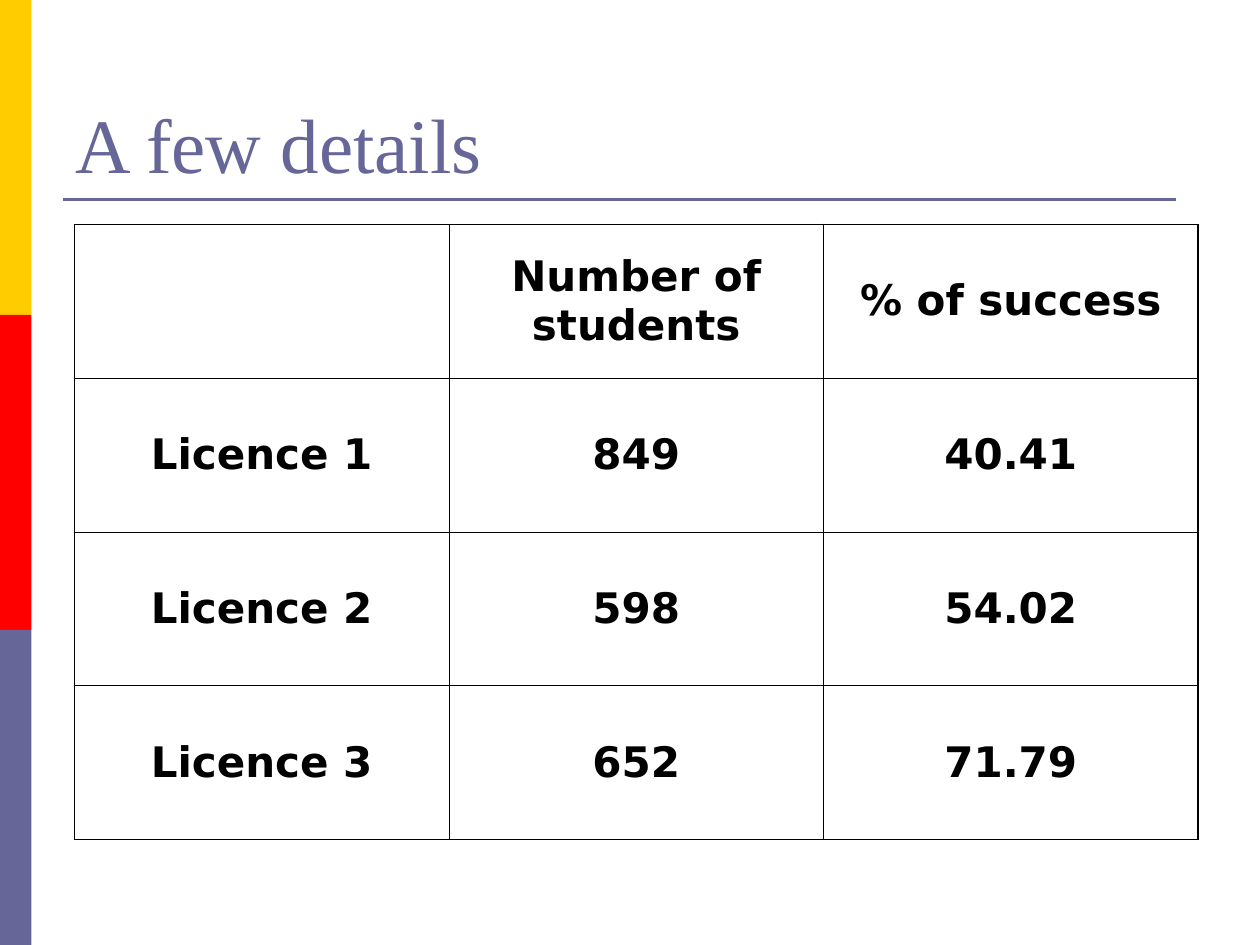
from dataclasses import dataclass

from lxml import etree
from pptx import Presentation
from pptx.dml.color import RGBColor
from pptx.enum.shapes import MSO_CONNECTOR, MSO_SHAPE
from pptx.enum.text import MSO_ANCHOR, PP_ALIGN
from pptx.oxml.ns import qn
from pptx.util import Pt

RECTANGLE = MSO_SHAPE.RECTANGLE
STRAIGHT = MSO_CONNECTOR.STRAIGHT
BOTTOM, MIDDLE = MSO_ANCHOR.BOTTOM, MSO_ANCHOR.MIDDLE
LEFT, CENTER = PP_ALIGN.LEFT, PP_ALIGN.CENTER

YELLOW = RGBColor(0xFF, 0xCC, 0x00)
RED = RGBColor(0xFF, 0x00, 0x00)
SLATE = RGBColor(0x66, 0x66, 0x99)
BLACK = RGBColor(0x00, 0x00, 0x00)

TITLE_FONT = {"name": "Times New Roman", "size": Pt(44), "bold": False}
CELL_FONT = {"name": "DejaVu Sans", "size": Pt(24), "bold": True}
MARGINS = {
    "margin_left": Pt(7.2),
    "margin_right": Pt(7.2),
    "margin_top": Pt(3.6),
    "margin_bottom": Pt(3.6),
}

SLIDE_WIDTH, SLIDE_HEIGHT = 720, 540
BAND_WIDTH = 18
COLUMN_WIDTH, ROW_HEIGHT = 214.06, 87.9
OUTER_BORDER, INNER_BORDER = 1.08, 0.45

ROWS = [
    ("", "Number of students", "% of success"),
    ("Licence 1", "849", "40.41"),
    ("Licence 2", "598", "54.02"),
    ("Licence 3", "652", "71.79"),
]


@dataclass
class Box:
    left: float
    top: float
    width: float
    height: float

    def lengths(self) -> list:
        return [Pt(value) for value in (self.left, self.top, self.width, self.height)]


@dataclass
class Band:
    box: Box
    color: RGBColor


def apply_format(target, values: dict) -> None:
    for name, value in values.items():
        setattr(target, name, value)


def write_text(paragraph, text: str, font: dict, color: RGBColor, alignment) -> None:
    paragraph.alignment = alignment
    run = paragraph.add_run()
    run.text = text
    apply_format(run.font, font)
    run.font.color.rgb = color


def draw_band(slide, band: Band) -> None:
    shape = slide.shapes.add_shape(RECTANGLE, *band.box.lengths())
    shape.shadow.inherit = False
    shape.fill.solid()
    shape.fill.fore_color.rgb = band.color
    shape.line.fill.background()


def draw_rule(slide, left: float, right: float, top: float) -> None:
    rule = slide.shapes.add_connector(STRAIGHT, Pt(left), Pt(top), Pt(right), Pt(top))
    rule.line.color.rgb = SLATE
    rule.line.width = Pt(1.5)
    etree.SubElement(rule._element.spPr, qn("a:effectLst"))


def draw_title(slide, text: str, box: Box) -> None:
    title = slide.shapes.title
    title.left, title.top, title.width, title.height = box.lengths()
    frame = title.text_frame
    apply_format(frame, {**MARGINS, "vertical_anchor": BOTTOM, "word_wrap": True})
    write_text(frame.paragraphs[0], text, TITLE_FONT, SLATE, LEFT)


def set_border(cell, side: str, width: float) -> None:
    properties = cell._tc.get_or_add_tcPr()
    line = etree.SubElement(properties, qn(f"a:ln{side}"), w=str(int(Pt(width))))
    fill = etree.SubElement(line, qn("a:solidFill"))
    etree.SubElement(fill, qn("a:srgbClr"), val=str(BLACK))


def draw_table(slide, left: float, top: float) -> None:
    row_count, column_count = len(ROWS), len(ROWS[0])
    box = Box(left, top, column_count * COLUMN_WIDTH, row_count * ROW_HEIGHT)
    table = slide.shapes.add_table(row_count, column_count, *box.lengths()).table
    apply_format(table, {"first_row": False, "horz_banding": False})
    for column in table.columns:
        column.width = Pt(COLUMN_WIDTH)
    for row_index, texts in enumerate(ROWS):
        table.rows[row_index].height = Pt(ROW_HEIGHT)
        for column_index, text in enumerate(texts):
            cell = table.cell(row_index, column_index)
            apply_format(cell, {**MARGINS, "vertical_anchor": MIDDLE})
            outer_sides = {
                "L": column_index == 0,
                "R": column_index == column_count - 1,
                "T": row_index == 0,
                "B": row_index == row_count - 1,
            }
            for side, is_outer in outer_sides.items():
                set_border(cell, side, OUTER_BORDER if is_outer else INNER_BORDER)
            cell.fill.background()
            if text:
                paragraph = cell.text_frame.paragraphs[0]
                paragraph.space_before = Pt(6)
                write_text(paragraph, text, CELL_FONT, BLACK, CENTER)


def main() -> None:
    presentation = Presentation()
    presentation.slide_width = Pt(SLIDE_WIDTH)
    presentation.slide_height = Pt(SLIDE_HEIGHT)
    slide = presentation.slides.add_slide(presentation.slide_layouts[5])

    colors = (YELLOW, RED, SLATE)
    band_height = SLIDE_HEIGHT / len(colors)
    for index, color in enumerate(colors):
        draw_band(slide, Band(Box(0, index * band_height, BAND_WIDTH, band_height), color))
    draw_rule(slide, left=36, right=672, top=114)
    draw_title(slide, "A few details", Box(36, 21.6, 648, 90))
    draw_table(slide, left=42.5, top=128.2)

    presentation.save("out.pptx")


if __name__ == "__main__":
    main()
